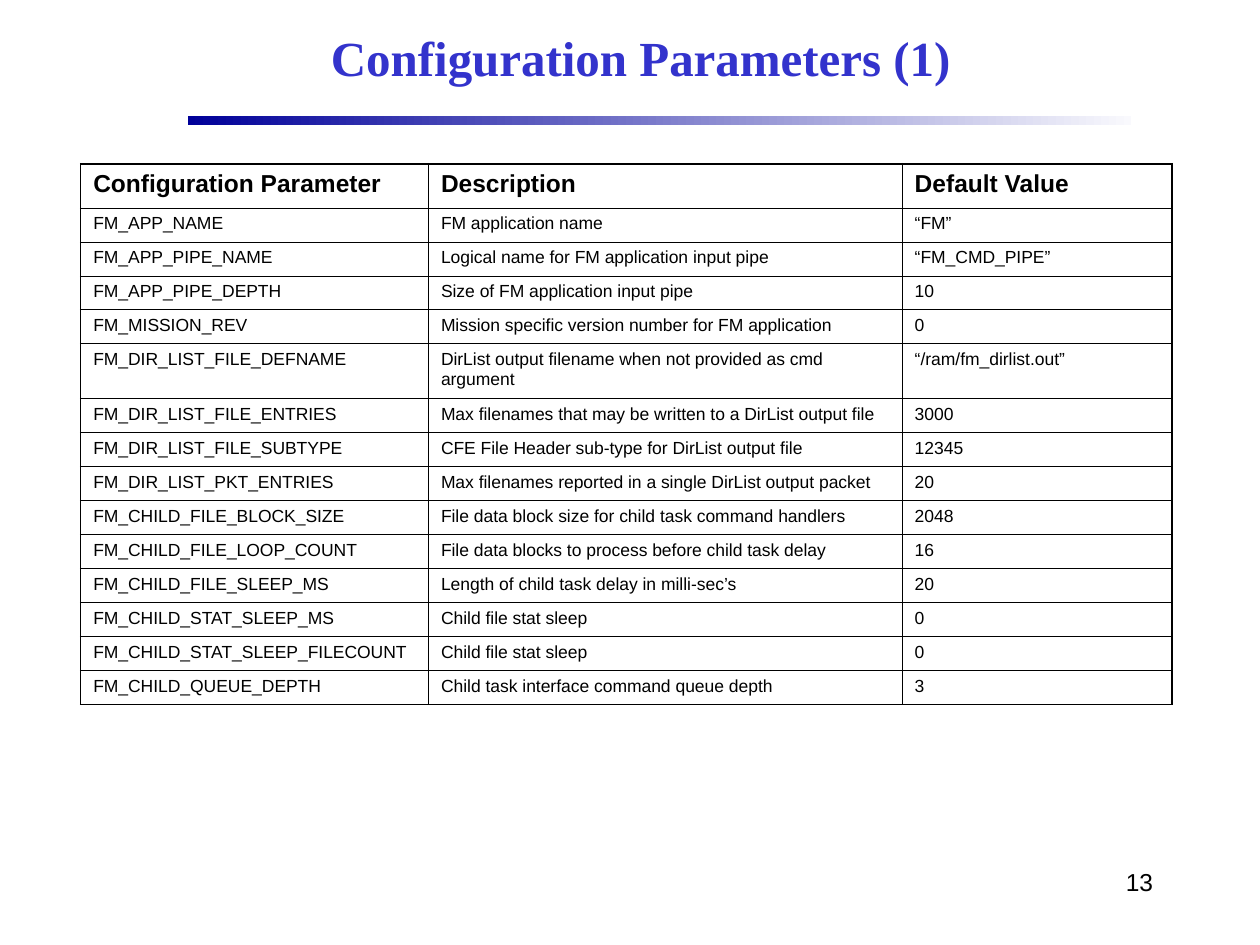
"""Build the slide that lists the FM configuration parameters."""
from lxml import etree
from pptx import Presentation
from pptx.dml.color import RGBColor
from pptx.enum.shapes import MSO_SHAPE
from pptx.enum.text import MSO_ANCHOR, PP_ALIGN
from pptx.oxml.ns import qn
from pptx.util import Inches, Pt

RECTANGLE = MSO_SHAPE.RECTANGLE
TOP, MIDDLE = MSO_ANCHOR.TOP, MSO_ANCHOR.MIDDLE
LEFT, CENTER, RIGHT = PP_ALIGN.LEFT, PP_ALIGN.CENTER, PP_ALIGN.RIGHT

BLACK = RGBColor(0x00, 0x00, 0x00)
TITLE_BLUE = RGBColor(0x33, 0x33, 0xCC)
RULE_START = RGBColor(0x00, 0x00, 0x99)
RULE_END = RGBColor(0xF9, 0xF9, 0xFD)

TITLE = "Configuration Parameters (1)"
PAGE_NUMBER = "13"
HEADINGS = ("Configuration Parameter", "Description", "Default Value")
PARAMETERS = [
    ("FM_APP_NAME", "FM application name", "“FM”"),
    ("FM_APP_PIPE_NAME", "Logical name for FM application input pipe", "“FM_CMD_PIPE”"),
    ("FM_APP_PIPE_DEPTH", "Size of FM application input pipe", "10"),
    ("FM_MISSION_REV", "Mission specific version number for FM application", "0"),
    ("FM_DIR_LIST_FILE_DEFNAME", "DirList output filename when not provided as cmd argument",
     "“/ram/fm_dirlist.out”"),
    ("FM_DIR_LIST_FILE_ENTRIES", "Max filenames that may be written to a DirList output file", "3000"),
    ("FM_DIR_LIST_FILE_SUBTYPE", "CFE File Header sub-type for DirList output file", "12345"),
    ("FM_DIR_LIST_PKT_ENTRIES", "Max filenames reported in a single DirList output packet", "20"),
    ("FM_CHILD_FILE_BLOCK_SIZE", "File data block size for child task command handlers", "2048"),
    ("FM_CHILD_FILE_LOOP_COUNT", "File data blocks to process before child task delay", "16"),
    ("FM_CHILD_FILE_SLEEP_MS", "Length of child task delay in milli-sec’s", "20"),
    ("FM_CHILD_STAT_SLEEP_MS", "Child file stat sleep", "0"),
    ("FM_CHILD_STAT_SLEEP_FILECOUNT", "Child file stat sleep", "0"),
    ("FM_CHILD_QUEUE_DEPTH", "Child task interface command queue depth", "3"),
]

SLIDE_SIZE = (10, 7.5)
TITLE_AREA = (1.5, 0.08, 7.17, 0.75)
RULE_AREA = (1.49, 0.92, 7.49, 0.07)
NUMBER_AREA = (7.17, 6.83, 2.08, 0.5)
TABLE_ORIGIN = (0.64, 1.3)
COLUMN_WIDTHS = (2.76, 3.76, 2.14)
HEADING_HEIGHT, ROW_HEIGHT, WRAPPED_HEIGHT = 0.35, 0.27, 0.43
WRAPPED_ROW = 5
OUTER_LINE, INNER_LINE = 1.08, 0.45


def write(frame, text, size=10, font="Arial", color=BLACK, bold=False, align=LEFT, anchor=TOP):
    frame.word_wrap = True
    frame.vertical_anchor = anchor
    frame.margin_left = frame.margin_right = Inches(0.1)
    frame.margin_top = frame.margin_bottom = Inches(0.05)
    paragraph = frame.paragraphs[0]
    paragraph.alignment = align
    run = paragraph.add_run()
    run.text = text
    run.font.size, run.font.name, run.font.bold = Pt(size), font, bold
    run.font.color.rgb = color


def add_border(cell, side, width):
    line = etree.SubElement(cell._tc.get_or_add_tcPr(), qn(f"a:ln{side}"), w=str(Pt(width)))
    fill = etree.SubElement(line, qn("a:solidFill"))
    etree.SubElement(fill, qn("a:srgbClr"), val=str(BLACK))


def add_title(slide):
    title = slide.shapes.title
    title.left, title.top, title.width, title.height = map(Inches, TITLE_AREA)
    write(title.text_frame, TITLE, size=28, font="Times New Roman", color=TITLE_BLUE,
          bold=True, align=CENTER, anchor=MIDDLE)


def add_rule(slide):
    rule = slide.shapes.add_shape(RECTANGLE, *map(Inches, RULE_AREA))
    rule.shadow.inherit = False
    rule.line.fill.background()
    rule.fill.gradient()
    rule.fill.gradient_angle = 0
    for stop, color in zip(rule.fill.gradient_stops, (RULE_START, RULE_END)):
        stop.color.rgb = color


def add_parameter_table(slide):
    rows = [HEADINGS, *PARAMETERS]
    heights = [HEADING_HEIGHT] + [ROW_HEIGHT] * len(PARAMETERS)
    heights[WRAPPED_ROW] = WRAPPED_HEIGHT
    area = (*TABLE_ORIGIN, sum(COLUMN_WIDTHS), sum(heights))
    table = slide.shapes.add_table(len(rows), len(HEADINGS), *map(Inches, area)).table
    table.first_row = table.horz_banding = False
    for column, width in zip(table.columns, COLUMN_WIDTHS):
        column.width = Inches(width)
    for r, (values, height) in enumerate(zip(rows, heights)):
        table.rows[r].height = Inches(height)
        for c, value in enumerate(values):
            cell = table.cell(r, c)
            write(cell.text_frame, value, size=10 if r else 14, bold=r == 0)
            outer_sides = {"L": c == 0, "R": c == len(HEADINGS) - 1,
                           "T": r == 0, "B": r == len(rows) - 1}
            for side, is_outer in outer_sides.items():
                add_border(cell, side, OUTER_LINE if is_outer else INNER_LINE)
            cell.fill.background()


def main():
    deck = Presentation()
    deck.slide_width, deck.slide_height = map(Inches, SLIDE_SIZE)
    slide = deck.slides.add_slide(deck.slide_layouts.get_by_name("Title Only"))
    add_rule(slide)
    number = slide.shapes.add_textbox(*map(Inches, NUMBER_AREA))
    write(number.text_frame, PAGE_NUMBER, size=14, align=RIGHT)
    add_title(slide)
    add_parameter_table(slide)
    deck.save("out.pptx")


if __name__ == "__main__":
    main()
